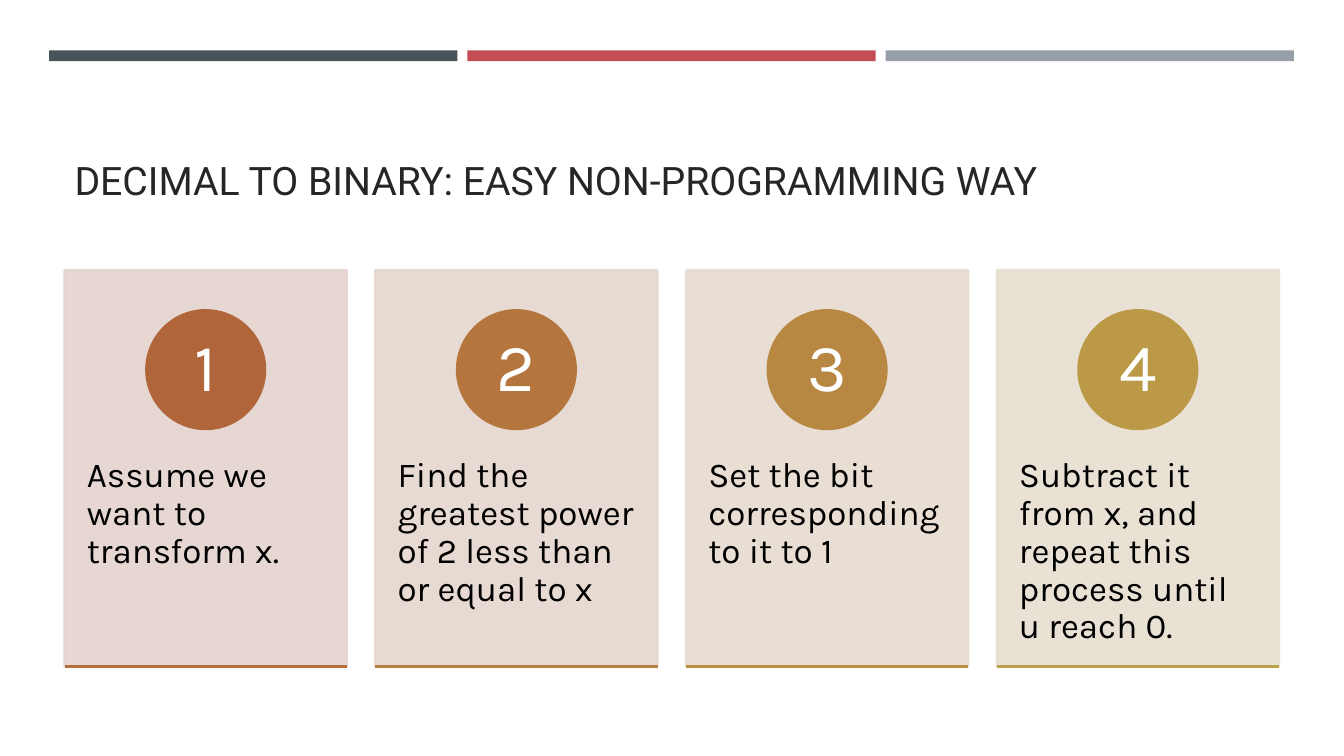
from dataclasses import dataclass

from lxml.etree import SubElement
from pptx import Presentation
from pptx.dml.color import RGBColor
from pptx.enum.shapes import MSO_CONNECTOR, MSO_SHAPE
from pptx.enum.text import MSO_ANCHOR, PP_ALIGN
from pptx.oxml.ns import qn
from pptx.shapes.autoshape import Shape
from pptx.util import Cm, Pt

WHITE = RGBColor(0xFF, 0xFF, 0xFF)
BLACK = RGBColor(0, 0, 0)
INK = RGBColor(0x26, 0x26, 0x26)
SLATE = RGBColor(0x46, 0x53, 0x59)
RED = RGBColor(0xC3, 0x4D, 0x54)
GREY = RGBColor(0x96, 0x9F, 0xA7)
STROKE = Pt(1.75)


@dataclass
class Step:
    text: str
    card: RGBColor
    disc: RGBColor
    rule: RGBColor


@dataclass
class Style:
    font: dict
    frame: dict
    para: dict


STEPS = [
    Step("Assume we want to transform x.", RGBColor(0xE4, 0xD3, 0xCE),
         RGBColor(0xB1, 0x65, 0x3B), RGBColor(0xB3, 0x6E, 0x3D)),
    Step("Find the greatest power of 2 less than or equal to x", RGBColor(0xE5, 0xD7, 0xCF),
         RGBColor(0xB5, 0x76, 0x3E), RGBColor(0xB6, 0x7F, 0x40)),
    Step("Set the bit corresponding to it to 1", RGBColor(0xE6, 0xDB, 0xCF),
         RGBColor(0xB8, 0x88, 0x42), RGBColor(0xBA, 0x91, 0x43)),
    Step("Subtract it from x, and repeat this process until u reach 0.",
         RGBColor(0xE7, 0xDF, 0xD0), RGBColor(0xBB, 0x99, 0x46), RGBColor(0xBB, 0xA1, 0x49)),
]


def inset(side: float, edge: float) -> dict:
    return {"margin_left": Cm(side), "margin_right": Cm(side),
            "margin_top": Cm(edge), "margin_bottom": Cm(edge), "word_wrap": True}


TITLE = Style({"name": "Roboto", "size": Pt(28)},
              {**inset(0.25, 0.13), "vertical_anchor": MSO_ANCHOR.BOTTOM}, {})
BODY = Style({"name": "Karla", "size": Pt(25)},
             {**inset(0.56, 0.91), "vertical_anchor": MSO_ANCHOR.TOP},
             {"line_spacing": 0.9})
DIGIT = Style({"name": "Karla", "size": Pt(48)},
              {**inset(0.23, 0.03), "vertical_anchor": MSO_ANCHOR.MIDDLE},
              {"line_spacing": 0.9, "alignment": PP_ALIGN.CENTER})


def apply(item: object, values: dict) -> None:
    for name, value in values.items():
        setattr(item, name, value)


def write(shape: Shape, text: str, style: Style, color: RGBColor) -> None:
    frame = shape.text_frame
    apply(frame, style.frame)
    para = frame.paragraphs[0]
    apply(para, style.para)
    run = para.add_run()
    run.text = text
    apply(run.font, style.font)
    run.font.color.rgb = color


def label(box: tuple, text: str, style: Style, color: RGBColor) -> None:
    write(slide.shapes.add_textbox(*map(Cm, box)), text, style, color)


def block(kind: MSO_SHAPE, box: tuple, color: RGBColor, edge: bool = True) -> Shape:
    shape = slide.shapes.add_shape(kind, *map(Cm, box))
    shape.shadow.inherit = False
    shape.fill.solid()
    shape.fill.fore_color.rgb = color
    if edge:
        shape.line.color.rgb = color
        shape.line.width = STROKE
    else:
        shape.line.fill.background()
    return shape


def fade(shape: Shape, part: int) -> None:
    for color in shape.element.spPr.iter(qn("a:srgbClr")):
        SubElement(color, qn("a:alpha"), val=str(part * 1000))


def rule(left: float, top: float, width: float, color: RGBColor) -> None:
    line = slide.shapes.add_connector(
        MSO_CONNECTOR.STRAIGHT, Cm(left), Cm(top), Cm(left + width), Cm(top))
    line.line.color.rgb = color
    line.line.width = STROKE
    SubElement(line.element.spPr, qn("a:effectLst"))


deck = Presentation()
deck.slide_width, deck.slide_height = Cm(33.87), Cm(19.05)
slide = deck.slides.add_slide(deck.slide_layouts[6])

# Top bars
for spot, color in enumerate((SLATE, RED, GREY)):
    block(MSO_SHAPE.RECTANGLE, (1.24 + spot * 10.54, 1.27, 10.29, 0.27), color, False)

# Title
label((1.63, 1.96, 30.63, 3.3), "DECIMAL TO BINARY: EASY NON-PROGRAMMING WAY", TITLE, INK)

# Step cards
LEFT, TOP, WIDE, HIGH, PITCH = 1.63, 6.81, 7.11, 9.98, 7.83
DISC = 2.99
for spot, step in enumerate(STEPS):
    left = LEFT + spot * PITCH
    fade(block(MSO_SHAPE.RECTANGLE, (left, TOP, WIDE, HIGH), step.card), 90)
    label((left, 10.62, WIDE, 5.99), step.text, BODY, BLACK)
    disc = block(MSO_SHAPE.OVAL, (left + (WIDE - DISC) / 2, 7.82, DISC, DISC), step.disc)
    write(disc, str(spot + 1), DIGIT, WHITE)
    rule(left, TOP + HIGH, WIDE, step.rule)

deck.save("out.pptx")
